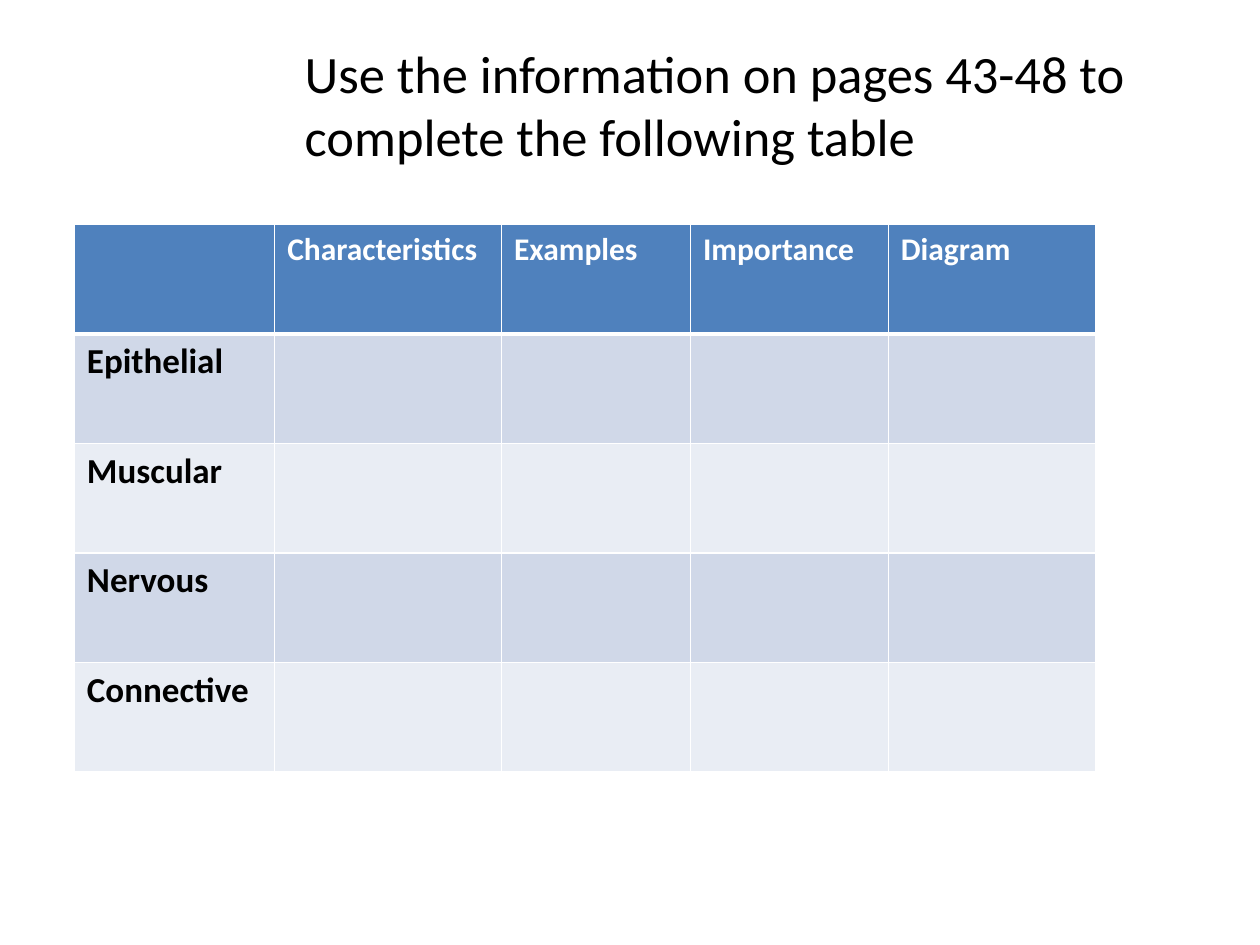
from lxml import etree
from pptx import Presentation
from pptx.dml.color import RGBColor
from pptx.enum import text
from pptx.oxml import ns
from pptx.util import Inches, Pt

TITLE = "Use the information on pages 43-48 to complete the following table"
HEADINGS = ["", "Characteristics", "Examples", "Importance", "Diagram"]
TISSUES = ["Epithelial", "Muscular", "Nervous", "Connective"]
COL_WIDTHS = [1.59, 1.8, 1.5, 1.57, 1.65]
ROW_HEIGHT = 0.87
HEADER_FILL = "4F81BD"
BAND_FILLS = ["D0D8E8", "E9EDF4"]


def color(value):
    return RGBColor.from_string(value)


def add_run(p, words, size, hex_color, bold=False):
    r = p.add_run()
    r.text = words
    r.font.name = "Calibri"
    r.font.size = Pt(size)
    r.font.bold = bold
    r.font.color.rgb = color(hex_color)


def set_borders(cell, widths):
    tc_pr = cell._tc.get_or_add_tcPr()
    for side, width in zip("LRTB", widths):
        ln = etree.SubElement(tc_pr, ns.qn(f"a:ln{side}"), w=str(Pt(width)))
        fill = etree.SubElement(ln, ns.qn("a:solidFill"))
        etree.SubElement(fill, ns.qn("a:srgbClr"), val="FFFFFF")


def add_title(s):
    tf = s.shapes.add_textbox(Inches(2.32), Inches(0.28), Inches(7.48), Inches(1.11)).text_frame
    tf.word_wrap = True
    tf.auto_size = text.MSO_AUTO_SIZE.SHAPE_TO_FIT_TEXT
    add_run(tf.paragraphs[0], TITLE, 30, "000000")


def add_tissue_table(s):
    rows = [HEADINGS] + [[name] + [""] * (len(HEADINGS) - 1) for name in TISSUES]
    table = s.shapes.add_table(
        len(rows), len(HEADINGS), Inches(0.59), Inches(1.78),
        Inches(sum(COL_WIDTHS)), Inches(ROW_HEIGHT * len(rows))).table
    for column, width in zip(table.columns, COL_WIDTHS):
        column.width = Inches(width)
    for i, row in enumerate(rows):
        table.rows[i].height = Inches(ROW_HEIGHT)
        header = i == 0
        for j, words in enumerate(row):
            cell = table.cell(i, j)
            set_borders(cell, (1, 1, 3 if i == 1 else 1, 3 if header else 1))
            cell.fill.solid()
            cell.fill.fore_color.rgb = color(HEADER_FILL if header else BAND_FILLS[(i - 1) % 2])
            if words:
                size, hex_color = (18, "FFFFFF") if header else (20, "000000")
                add_run(cell.text_frame.paragraphs[0], words, size, hex_color, True)


def main():
    prs = Presentation()
    prs.slide_width, prs.slide_height = Inches(10), Inches(7.5)
    s = prs.slides.add_slide(prs.slide_layouts[6])
    add_title(s)
    add_tissue_table(s)
    prs.save("out.pptx")


if __name__ == "__main__":
    main()
